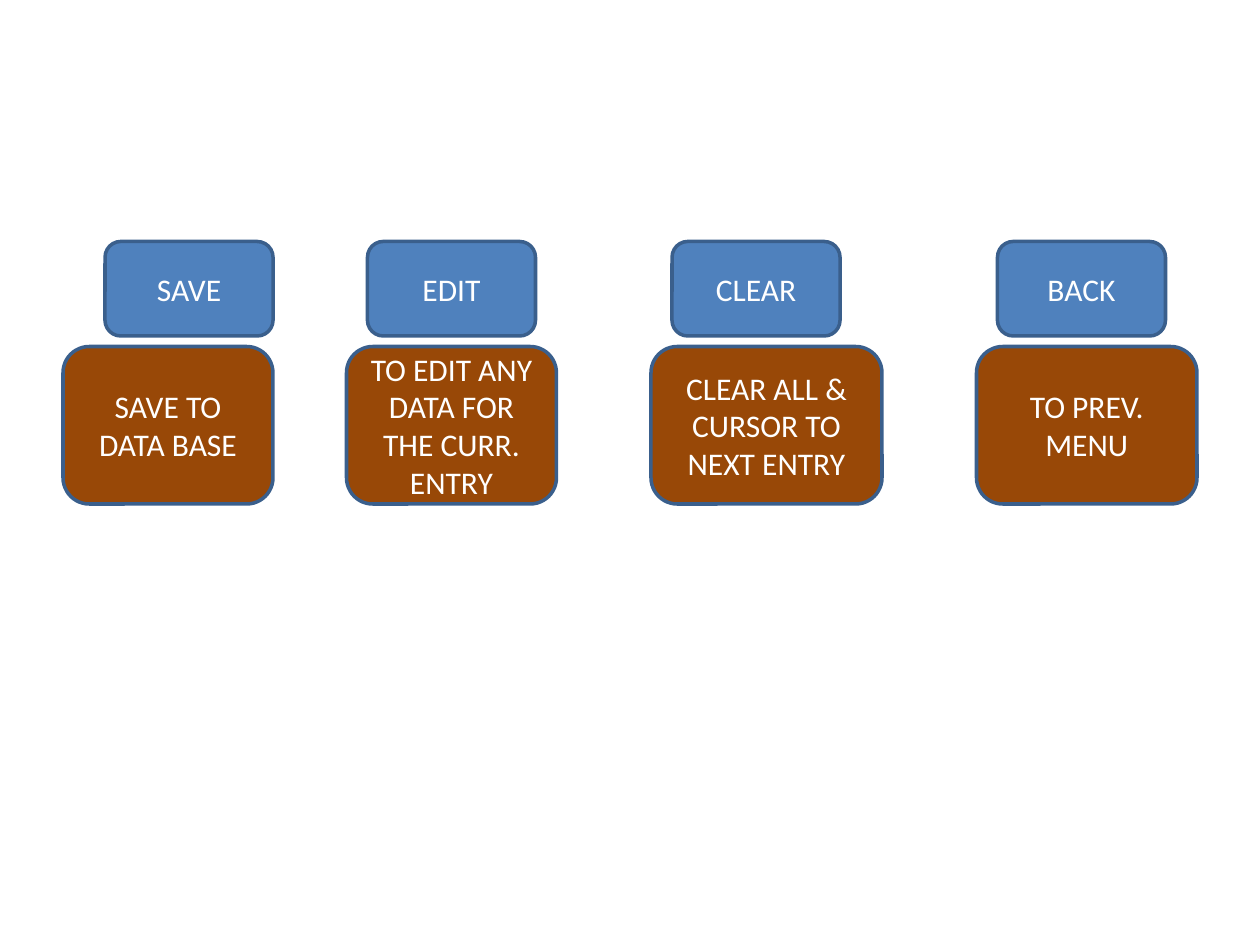
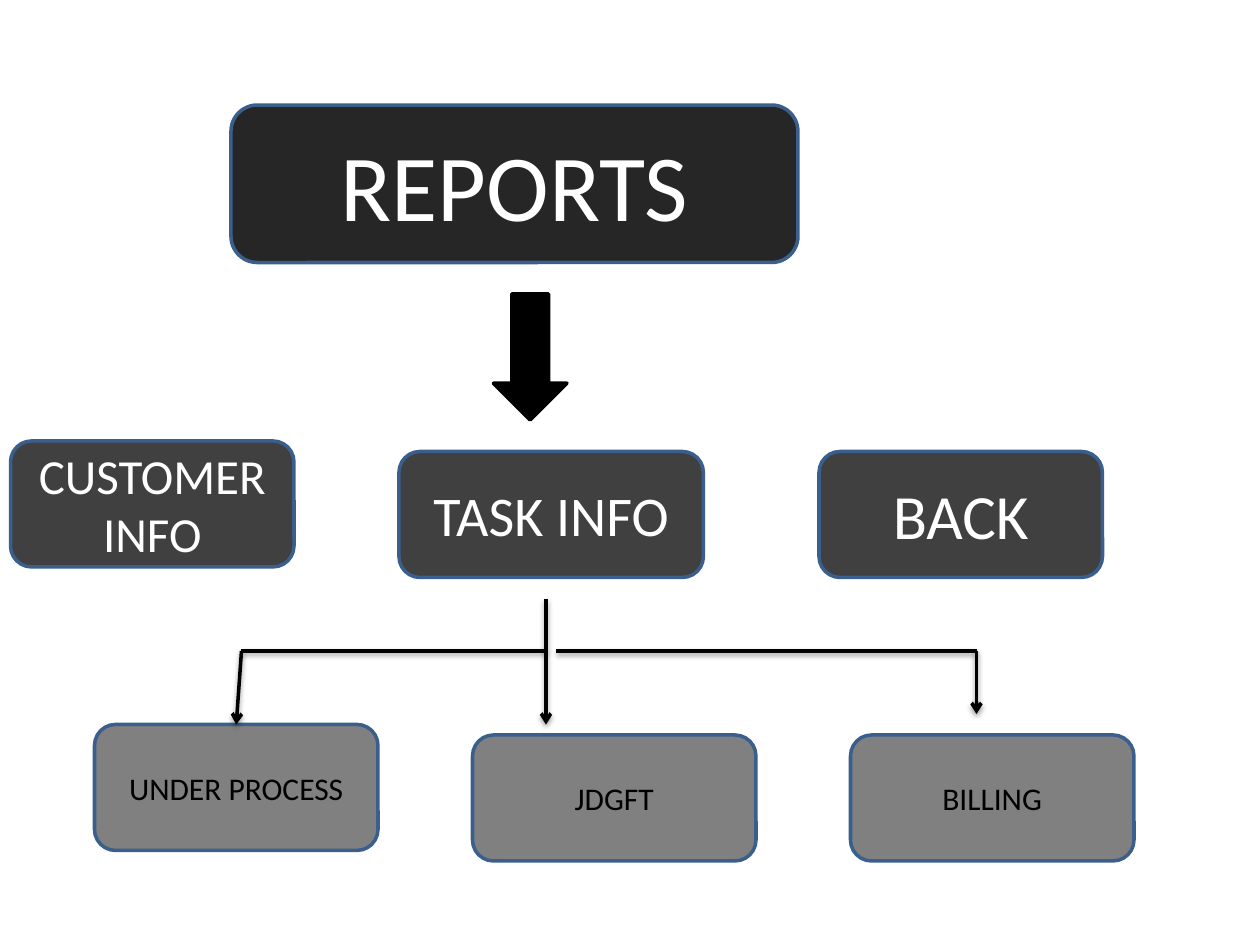
"""Build two slides: the entry-form buttons and the reports menu tree."""
from typing import NamedTuple

from lxml import etree
from pptx import Presentation, util as u
from pptx.dml.color import RGBColor
from pptx.enum import shapes, text
from pptx.oxml import parse_xml
from pptx.oxml.ns import nsdecls, qn

COLUMNS, ROWS = 120, 90
CELL = u.Inches(10) // COLUMNS
FONT = "Calibri"
LINE_WIDTH = u.Pt(2)
BLUE, BROWN, OUTLINE = "4F81BD", "984807", "3A5F8C"
CHARCOAL, DARK_GRAY, GRAY = "262626", "404040", "808080"
BLACK, WHITE = "000000", "FFFFFF"
SHADOW = (
    f'<a:effectLst {nsdecls("a")}><a:outerShdw blurRad="{u.Pt(3.1)}" '
    f'dist="{u.Pt(1.6)}" dir="5400000" rotWithShape="0"><a:srgbClr val="{BLACK}">'
    '<a:alpha val="38000"/></a:srgbClr></a:outerShdw></a:effectLst>'
)


class Box(NamedTuple):
    label: str
    column: float
    row: float
    width: float
    height: float
    fill: str
    size: float = 18
    color: str = WHITE
    outline: str = OUTLINE
    kind: shapes.MSO_SHAPE = shapes.MSO_SHAPE.ROUNDED_RECTANGLE


class Link(NamedTuple):
    start: tuple[float, float]
    end: tuple[float, float]
    arrow: bool = False


class Action(NamedTuple):
    name: str
    column: int
    note: str
    note_column: int
    note_width: int


ACTIONS = [
    Action("SAVE", 10, "SAVE TO DATA BASE", 6, 20),
    Action("EDIT", 35, "TO EDIT ANY DATA FOR THE CURR. ENTRY", 33, 20),
    Action("CLEAR", 64, "CLEAR ALL & CURSOR TO NEXT ENTRY", 62, 22),
    Action("BACK", 95, "TO PREV. MENU", 93, 21),
]
BUTTONS = [Box(a.name, a.column, 23, 16, 9, BLUE) for a in ACTIONS]
NOTES = [Box(a.note, a.note_column, 33, a.note_width, 15, BROWN) for a in ACTIONS]

MENU = [
    Box("REPORTS", 22, 10, 54, 15, CHARCOAL, 54),
    Box("", 47, 28, 7, 12, BLACK, outline=BLACK, kind=shapes.MSO_SHAPE.DOWN_ARROW),
    Box("CUSTOMER INFO", 1, 42, 27, 12, DARK_GRAY, 28),
    Box("TASK INFO", 38, 43, 29, 12, DARK_GRAY, 32),
    Box("BACK", 78, 43, 27, 12, DARK_GRAY, 36),
    Box("UNDER PROCESS", 9, 69, 27, 12, GRAY, color=BLACK),
    Box("JDGFT", 45, 70, 27, 12, GRAY, color=BLACK),
    Box("BILLING", 81, 70, 27, 12, GRAY, color=BLACK),
]
LEFT, MIDDLE, RIGHT, BRANCH_ROW = 23, 52, 93, 62
BRANCHES = [
    Link((MIDDLE, BRANCH_ROW), (LEFT, BRANCH_ROW)),
    Link((MIDDLE, 57), (MIDDLE, BRANCH_ROW)),
    Link((MIDDLE + 1, BRANCH_ROW), (RIGHT, BRANCH_ROW)),
    Link((LEFT, BRANCH_ROW), (LEFT - 0.5, 69), True),
    Link((MIDDLE, BRANCH_ROW), (MIDDLE, 69), True),
    Link((RIGHT, BRANCH_ROW), (RIGHT, 68), True),
]


def cells(*counts: float) -> list[int]:
    """Convert grid counts to lengths."""
    return [round(count * CELL) for count in counts]


def rgb(value: str) -> RGBColor:
    """Turn a hex string into a colour."""
    return RGBColor.from_string(value)


def draw_box(page, box: Box) -> None:
    """Draw a filled, outlined shape with its centred label."""
    place = cells(box.column, box.row, box.width, box.height)
    shape = page.shapes.add_shape(box.kind, *place)
    shape.shadow.inherit = False
    shape.fill.solid()
    shape.fill.fore_color.rgb = rgb(box.fill)
    shape.line.color.rgb = rgb(box.outline)
    shape.line.width = LINE_WIDTH
    if not box.label:
        return
    frame = shape.text_frame
    frame.word_wrap = True
    frame.vertical_anchor = text.MSO_ANCHOR.MIDDLE
    para = frame.paragraphs[0]
    para.text = box.label
    para.alignment = text.PP_ALIGN.CENTER
    para.font.name = FONT
    para.font.size = u.Pt(box.size)
    para.font.color.rgb = rgb(box.color)


def draw_link(page, link: Link) -> None:
    """Draw a shadowed line, with an arrowhead if asked."""
    line = page.shapes.add_connector(
        shapes.MSO_CONNECTOR.STRAIGHT, *cells(*link.start, *link.end)
    )
    line.line.color.rgb = rgb(BLACK)
    line.line.width = LINE_WIDTH
    properties = line._element.spPr
    if link.arrow:
        etree.SubElement(properties.find(qn("a:ln")), qn("a:tailEnd"), type="arrow")
    properties.append(parse_xml(SHADOW))


def add_page(deck, boxes: list[Box], links: list[Link]) -> None:
    """Add a blank page holding the boxes and links."""
    page = deck.slides.add_slide(deck.slide_layouts[6])
    for box in boxes:
        draw_box(page, box)
    for link in links:
        draw_link(page, link)


def main() -> None:
    """Build and save the deck."""
    deck = Presentation()
    deck.slide_width, deck.slide_height = cells(COLUMNS, ROWS)
    add_page(deck, BUTTONS + NOTES, [])
    add_page(deck, MENU, BRANCHES)
    deck.save("out.pptx")


if __name__ == "__main__":
    main()
